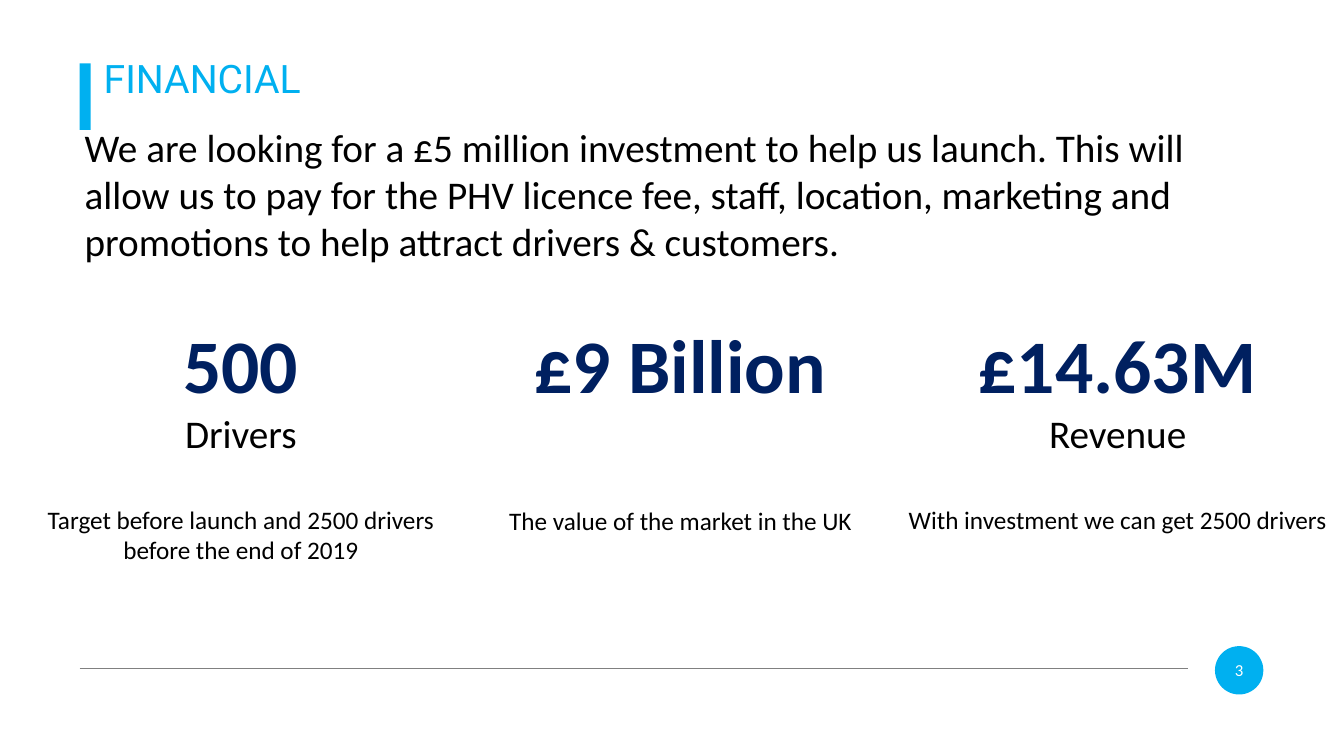
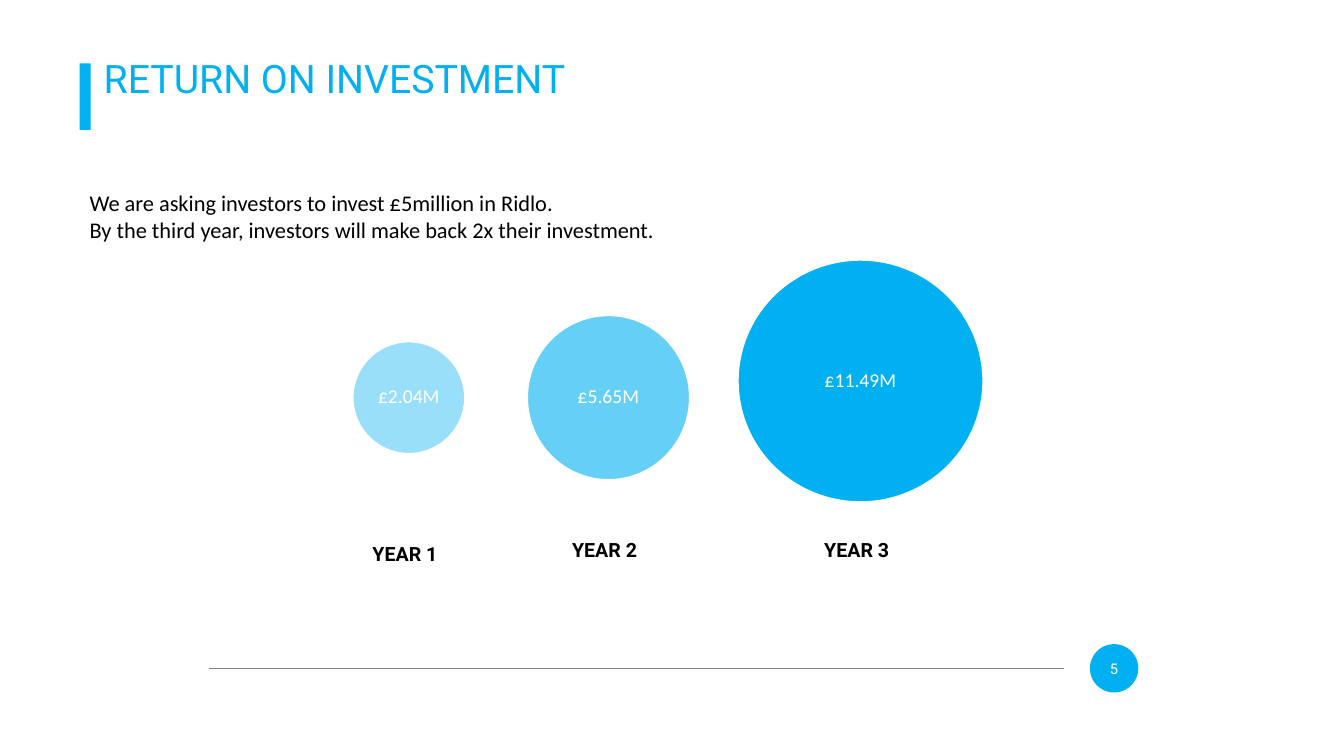
from lxml import etree
from pptx import Presentation
from pptx.dml.color import RGBColor
from pptx.enum.shapes import MSO_CONNECTOR as Connector, MSO_SHAPE as Shape
from pptx.enum.text import MSO_ANCHOR as Anchor, PP_ALIGN as Align
from pptx.oxml.ns import qn
from pptx.util import Inches, Pt

# Shared look
BLUE, NAVY, GREY, BLACK, WHITE = "00B0F0", "002060", "808080", "000000", "FFFFFF"
HEAD, BODY = "Roboto", "Calibri"
FOOTER_Y, BADGE_SIZE = 6.63, 0.48

# Content
FINANCIAL = {
    "title": "FINANCIAL",
    "intro": "We are looking for a £5 million investment to help us launch. This will "
             "allow us to pay for the PHV licence fee, staff, location, marketing and "
             "promotions to help attract drivers & customers.",
    # figure, label, caption, left, width
    "stats": [
        ("500", "Drivers", "Target before launch and 2500 drivers before the end of 2019",
         0.21, 4.36),
        ("£9 Billion", "", "The value of the market in the UK", 4.57, 4.36),
        ("£14.63M", "Revenue", "With investment we can get 2500 drivers", 8.84, 4.49),
    ],
    # number, line start, line end, badge left, badge top, font, size
    "footer": ("3", 0.79, 11.78, 12.05, 6.41, BODY, 12),
}
RETURNS = {
    "title": "RETURN ON INVESTMENT",
    "intro": ["We are asking investors to invest £5million in Ridlo.",
              "By the third year, investors will make back 2x their investment."],
    # year, amount, opacity %, circle (left, top, width, height), label top
    "years": [
        ("YEAR 1", "£2.04M", 40, (3.5, 3.39, 1.11, 1.11), 5.33),
        ("YEAR 2", "£5.65M", 60, (5.23, 3.13, 1.61, 1.63), 5.29),
        ("YEAR 3", "£11.49M", 100, (7.32, 2.58, 2.43, 2.4), 5.29),
    ],
    "footer": ("5", 2.07, 10.55, 10.81, 6.39, HEAD, 10.5),
}


def rgb(color):
    return RGBColor.from_string(color)


def style(paragraph, text, size, color=BLACK, font=BODY, bold=False, align=Align.LEFT):
    paragraph.text = text
    paragraph.alignment = align
    face = paragraph.font
    face.name, face.size, face.bold = font, Pt(size), bold
    face.color.rgb = rgb(color)
    return paragraph


def add_text(slide, box, lines, size, **look):
    frame = slide.shapes.add_textbox(*map(Inches, box)).text_frame
    frame.word_wrap = True
    for i, line in enumerate(lines):
        paragraph = frame.add_paragraph() if i else frame.paragraphs[0]
        style(paragraph, line, size, **look)
    return frame


def add_solid(slide, kind, box, opacity=100, outline=None):
    solid = slide.shapes.add_shape(kind, *map(Inches, box))
    solid.shadow.inherit = False
    solid.fill.solid()
    solid.fill.fore_color.rgb = rgb(BLUE)
    if opacity < 100:
        tint = solid.fill._xPr.find(".//" + qn("a:srgbClr"))
        etree.SubElement(tint, qn("a:alpha")).set("val", str(opacity * 1000))
    if outline:
        solid.line.color.rgb = rgb(outline)
        solid.line.width = Pt(1)
    else:
        solid.line.fill.background()
    return solid


def add_disc(slide, box, text, size, font=BODY, **look):
    disc = add_solid(slide, Shape.OVAL, box, **look)
    frame = disc.text_frame
    frame.vertical_anchor = Anchor.MIDDLE
    frame.margin_left = frame.margin_right = Inches(0.02)
    frame.margin_top = frame.margin_bottom = Inches(0.02)
    frame.word_wrap = True
    return style(frame.paragraphs[0], text, size, WHITE, font, align=Align.CENTER)


def start_slide(deck, title, footer):
    slide = deck.slides.add_slide(deck.slide_layouts[6])
    # Title with accent bar
    add_text(slide, (0.93, 0.49, 6.38, 0.57), [title], 28, color=BLUE, font=HEAD)
    add_solid(slide, Shape.RECTANGLE, (0.79, 0.63, 0.11, 0.66))
    # Footer line and page badge
    number, start, end, left, top, font, size = footer
    rule = slide.shapes.add_connector(
        Connector.STRAIGHT, *map(Inches, (start, FOOTER_Y, end, FOOTER_Y)))
    rule.line.color.rgb = rgb(GREY)
    rule.line.width = Pt(0.5)
    etree.SubElement(rule._element.spPr, qn("a:effectLst"))
    add_disc(slide, (left, top, BADGE_SIZE, BADGE_SIZE), number, size, font)
    return slide


def build_financial(deck):
    slide = start_slide(deck, FINANCIAL["title"], FINANCIAL["footer"])
    add_text(slide, (0.74, 1.17, 11.21, 1.51), [FINANCIAL["intro"]], 28)
    # Three key figures
    for figure, label, caption, left, width in FINANCIAL["stats"]:
        frame = add_text(slide, (left, 3.11, width, 2.26), [figure], 54,
                         color=NAVY, bold=True, align=Align.CENTER)
        if label:
            style(frame.add_paragraph(), label, 28, align=Align.CENTER)
        note = style(frame.add_paragraph(), caption, 18, align=Align.CENTER)
        note.space_before = Pt(34.2 if label else 68.4)


def build_returns(deck):
    slide = start_slide(deck, RETURNS["title"], RETURNS["footer"])
    add_text(slide, (0.79, 1.83, 11.57, 0.91), RETURNS["intro"], 16, align=Align.JUSTIFY)
    # Growing circles, each label centred below its own
    label_width = 0.92
    for year, amount, opacity, circle, label_top in RETURNS["years"]:
        add_disc(slide, circle, amount, 14, opacity=opacity, outline=WHITE).line_spacing = 0.9
        label_left = circle[0] + (circle[2] - label_width) / 2
        add_text(slide, (label_left, label_top, label_width, 0.34), [year], 14,
                 font=HEAD, bold=True)


def main():
    deck = Presentation()
    deck.slide_width, deck.slide_height = Inches(13.33), Inches(7.5)
    build_financial(deck)
    build_returns(deck)
    deck.save("out.pptx")


if __name__ == "__main__":
    main()
